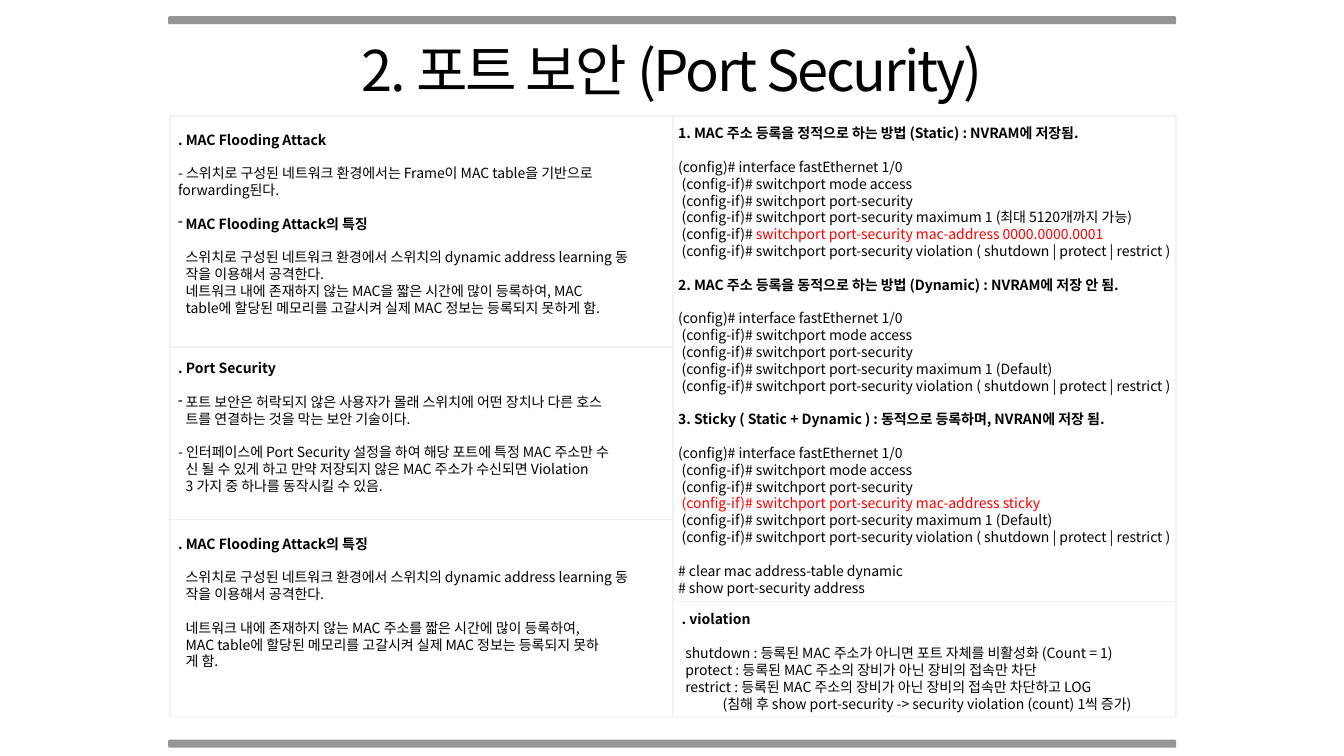
from lxml.etree import SubElement
from pptx import Presentation
from pptx.dml.color import RGBColor
from pptx.enum.shapes import MSO_CONNECTOR, MSO_SHAPE
from pptx.enum.text import MSO_ANCHOR, MSO_AUTO_SIZE, PP_ALIGN
from pptx.oxml.ns import qn
from pptx.util import Cm, Pt

FONT = "Noto Sans CJK KR"
COLORS = {"text": "000000", "alert": "FF0000", "bar": "808080", "rule": "F2F2F2"}
SIZE, PITCH = 10, 12.03
STEP = 0.19  # indent of a continued line, cm
HALF = 0.09  # indent of a command line, cm

TITLE = "2. 포트 보안 (Port Security)"

# A line is (kind, indent, text) or (kind, indent, text, red text).
# A box is a list of groups, set apart by one line of space.


def body(indent, *texts):
    return [("plain", indent, text) for text in texts]


def head(text):
    return [("bold", 0, text)]


def steps(*middle):
    """Command group: the shared opening and closing around the middle lines."""
    return [
        *body(0, "(config)# interface fastEthernet 1/0"),
        *body(HALF, "(config-if)# switchport mode access",
              "(config-if)# switchport port-security"),
        *middle,
        *body(HALF, "(config-if)# switchport port-security violation "
                    "( shutdown | protect | restrict )"),
    ]


TRAIT = "MAC Flooding Attack의 특징"
LEARN = body(STEP, "스위치로 구성된 네트워크 환경에서 스위치의 dynamic address learning 동",
             "작을 이용해서 공격한다.")
ONE = body(HALF, "(config-if)# switchport port-security maximum 1 (Default)")

FLOOD = [
    head(". MAC Flooding Attack"),
    body(0, "- 스위치로 구성된 네트워크 환경에서는 Frame이 MAC table을 기반으로 forwarding된다."),
    [("bold bullet", STEP, TRAIT)],
    LEARN + body(STEP, "네트워크 내에 존재하지 않는 MAC을 짧은 시간에 많이 등록하여, MAC",
                 "table에 할당된 메모리를 고갈시켜 실제 MAC 정보는 등록되지 못하게 함."),
]
GUARD = [
    head(". Port Security"),
    [("bullet", STEP, "포트 보안은 허락되지 않은 사용자가 몰래 스위치에 어떤 장치나 다른 호스"),
     *body(STEP, "트를 연결하는 것을 막는 보안 기술이다.")],
    body(0, "- 인터페이스에 Port Security 설정을 하여 해당 포트에 특정 MAC 주소만 수")
    + body(STEP, "신 될 수 있게 하고 만약 저장되지 않은 MAC 주소가 수신되면 Violation",
           "3 가지 중 하나를 동작시킬 수 있음."),
]
TRAITS = [
    head(". " + TRAIT),
    LEARN,
    body(STEP, "네트워크 내에 존재하지 않는 MAC 주소를 짧은 시간에 많이 등록하여,",
         "MAC table에 할당된 메모리를 고갈시켜 실제 MAC 정보는 등록되지 못하",
         "게 함."),
]
SETUP = [
    head("1. MAC 주소 등록을 정적으로 하는 방법 (Static) : NVRAM에 저장됨."),
    steps(*body(HALF, "(config-if)# switchport port-security maximum 1 (최대 5120개까지 가능)"),
          ("plain", HALF, "(config-if)# ",
           "switchport port-security mac-address 0000.0000.0001")),
    head("2. MAC 주소 등록을 동적으로 하는 방법 (Dynamic) : NVRAM에 저장 안 됨."),
    steps(*ONE),
    head("3. Sticky ( Static + Dynamic ) : 동적으로 등록하며, NVRAN에 저장 됨."),
    steps(("plain", HALF, "", "(config-if)# switchport port-security mac-address sticky"), *ONE),
    body(0, "# clear mac address-table dynamic", "# show port-security address"),
]
VIOLATE = [
    head(". violation"),
    body(HALF, "shutdown : 등록된 MAC 주소가 아니면 포트 자체를 비활성화 (Count = 1)",
         "protect : 등록된 MAC 주소의 장비가 아닌 장비의 접속만 차단",
         "restrict : 등록된 MAC 주소의 장비가 아닌 장비의 접속만 차단하고 LOG")
    + body(1.03, "(침해 후 show port-security -> security violation (count) 1씩 증가)"),
]

# Centimetres
LEFT, WIDE, MID = 4.24, 25.4, 16.93
RIGHT = LEFT + WIDE
BARS = [0.41, 18.64]
FRAME = (4.29, 2.92, 25.35, 15.14)
RULES = [(LEFT, MID, 8.74), (LEFT, MID, 13.09), (MID, RIGHT, 15.16)]
BOXES = [
    (FLOOD, LEFT, 3.18, 12.7, 5.38),
    (GUARD, LEFT, 8.94, 12.7, 4.11),
    (TRAITS, LEFT, 13.36, 12.7, 4.11),
    (SETUP, 16.84, 3.02, 13.11, 12.22),
    (VIOLATE, MID, 15.27, 12.7, 2.82),
]


def color(name):
    return RGBColor.from_string(COLORS[name])


def style(run, size, ink="text", bold=False):
    font = run.font
    font.size, font.bold, font.name = Pt(size), bold, FONT
    font.color.rgb = color(ink)
    props = run._r.get_or_add_rPr()
    SubElement(props, qn("a:ea")).set("typeface", FONT)
    return props


def write(para, kind, indent, text, red="", gap=0):
    para.line_spacing, para.space_before = Pt(PITCH), Pt(gap)
    for part, ink in ((text, "text"), (red, "alert")):
        if part:
            run = para.add_run()
            run.text = part
            style(run, SIZE, ink, "bold" in kind)
    props = para._p.get_or_add_pPr()
    props.set("marL", str(Cm(indent)))
    if "bullet" in kind:
        props.set("indent", str(-Cm(indent)))
        SubElement(props, qn("a:buChar")).set("char", "-")


def fill_box(slide, groups, *area):
    frame = slide.shapes.add_textbox(*map(Cm, area)).text_frame
    frame.word_wrap = True
    para = frame.paragraphs[0]
    for g, group in enumerate(groups):
        for n, line in enumerate(group):
            if g or n:
                para = frame.add_paragraph()
            write(para, *line, gap=PITCH if g and not n else 0)


def add_rule(slide, *ends):
    line = slide.shapes.add_connector(MSO_CONNECTOR.STRAIGHT, *map(Cm, ends))
    line.line.color.rgb, line.line.width = color("rule"), Pt(1)
    SubElement(line._element.spPr, qn("a:effectLst"))
    return line


def add_title(slide):
    title = slide.shapes.title
    title.left, title.top, title.width, title.height = map(Cm, (LEFT, 0.76, WIDE, 1.96))
    frame = title.text_frame
    frame.text = TITLE
    frame.auto_size, frame.vertical_anchor = MSO_AUTO_SIZE.NONE, MSO_ANCHOR.TOP
    para = frame.paragraphs[0]
    para.alignment, para.line_spacing = PP_ALIGN.CENTER, Pt(48)
    style(para.runs[0], 40).set("spc", "-150")


def add_bar(slide, top):
    bar = slide.shapes.add_shape(MSO_SHAPE.ROUNDED_RECTANGLE, *map(Cm, (LEFT, top, WIDE, 0.2)))
    bar.shadow.inherit = False
    bar.fill.solid()
    bar.fill.fore_color.rgb = color("bar")
    bar.line.fill.background()
    tint = bar._element.spPr.find(qn("a:solidFill"))[0]
    SubElement(tint, qn("a:alpha")).set("val", "83000")


def add_grid(slide):
    frame = slide.shapes.add_shape(MSO_SHAPE.RECTANGLE, *map(Cm, FRAME))
    frame.shadow.inherit = False
    frame.fill.background()
    frame.line.color.rgb, frame.line.width = color("rule"), Pt(1)
    for start, end, y in RULES:
        add_rule(slide, start, y, end, y)
    split = add_rule(slide, MID, FRAME[1], MID, FRAME[1] + FRAME[3])
    split.begin_connect(frame, 0)
    split.end_connect(frame, 2)


def main():
    deck = Presentation()
    deck.slide_width, deck.slide_height = Cm(33.87), Cm(19.05)
    slide = deck.slides.add_slide(deck.slide_layouts[5])
    add_title(slide)
    for top in BARS:
        add_bar(slide, top)
    add_grid(slide)
    for box in BOXES:
        fill_box(slide, *box)
    deck.save("out.pptx")


if __name__ == "__main__":
    main()
